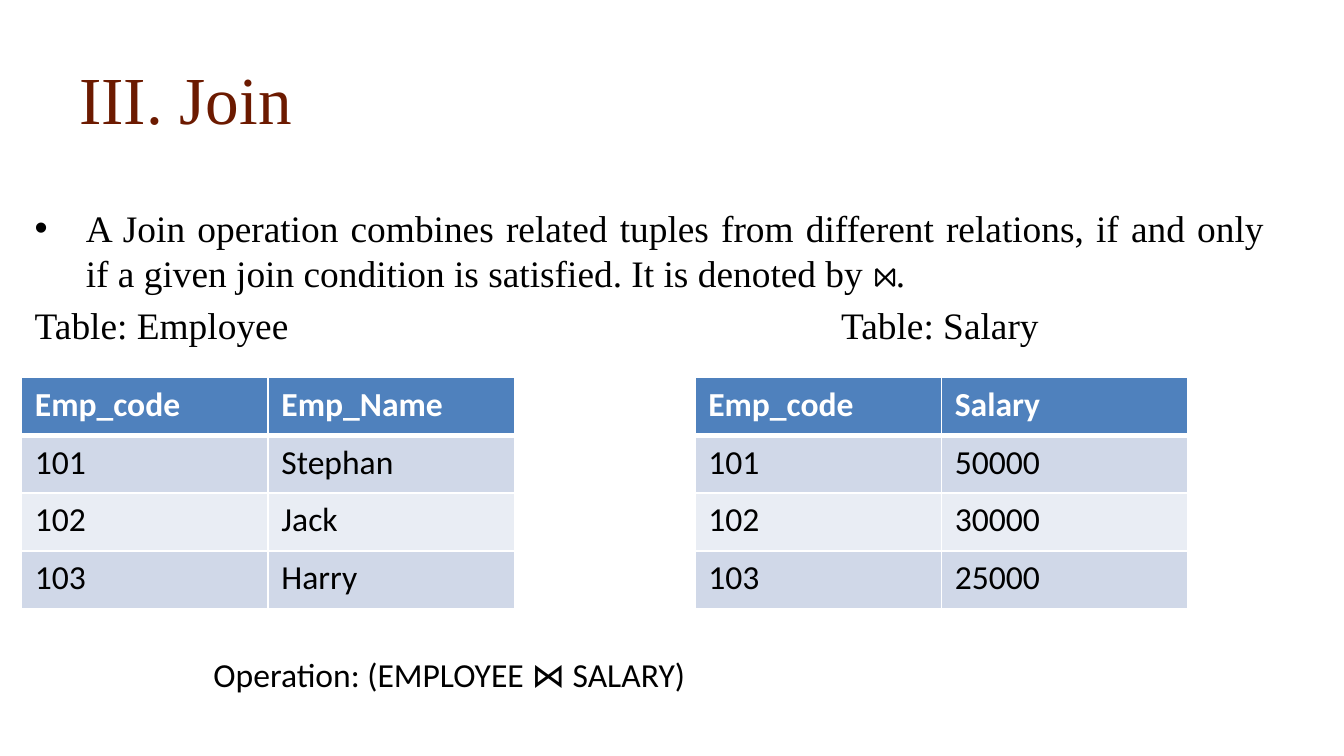
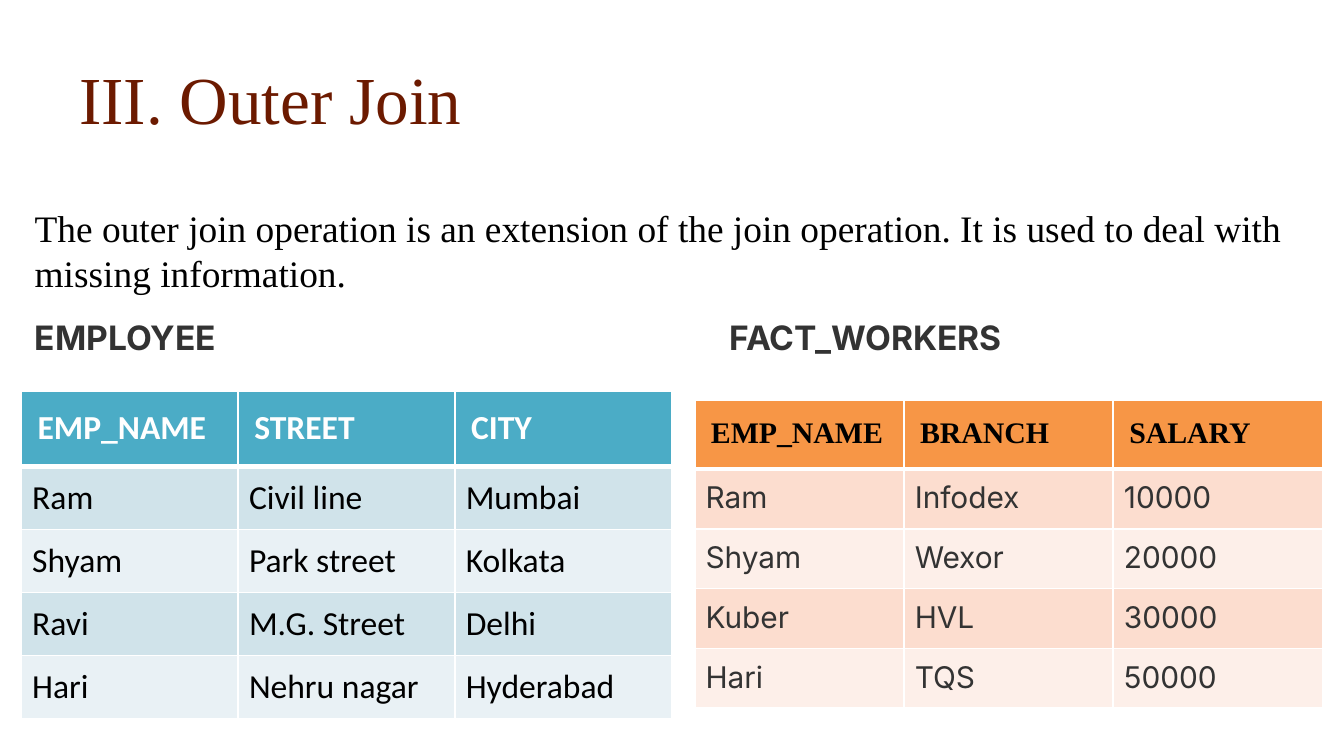
from dataclasses import dataclass

from lxml.etree import SubElement
from pptx import Presentation
from pptx.dml.color import RGBColor
from pptx.enum.text import MSO_ANCHOR as Anchor, PP_ALIGN as Align
from pptx.oxml import parse_xml
from pptx.oxml.ns import nsdecls, qn
from pptx.util import Inches, Pt

SERIF, SANS, INTER = "Times New Roman", "Calibri", "Inter"
BLACK, WHITE, MAROON, GREY = "000000", "FFFFFF", "6C1A00", "333333"
TITLE_BOX = (0.49, 0.31, 9.02, 0.84)
LEFT, RIGHT = 0.16, 5.17


@dataclass
class Theme:
    header: str
    bands: tuple
    header_font: dict
    body_font: dict
    header_inset: tuple = (0.12, 0.12)
    body_inset: tuple = (0.08, 0.08)


BLUE = Theme(
    "4F81BD", ("D0D8E8", "E9EDF4"),
    dict(size=18, font=SANS, color=WHITE, bold=True),
    dict(size=18, font=SANS),
    (0.1, 0.05), (0.1, 0.05),
)
TEAL = Theme(
    "4BACC6", ("D0E3EA", "E9F1F5"),
    dict(size=18, font=SANS, color=WHITE, bold=True),
    dict(size=18, font=SANS, align=Align.JUSTIFY),
)
ORANGE = Theme(
    "F79646", ("FCDDCF", "FDEFE9"),
    dict(size=16, font=SERIF, bold=True),
    dict(size=16, font=INTER, color=GREY, align=Align.JUSTIFY),
)


def rgb(value):
    return RGBColor.from_string(value)


def write(paragraph, text, size=20, font=SERIF, color=BLACK, bold=False,
          align=Align.LEFT, before=0, bullet_indent=None, tab=None):
    paragraph.alignment = align
    paragraph.space_before = Pt(before)
    run = paragraph.add_run()
    run.text = text
    run.font.size = Pt(size)
    run.font.name = font
    run.font.bold = bold
    run.font.color.rgb = rgb(color)
    props = paragraph._p.get_or_add_pPr()
    if bullet_indent:
        props.set("marL", str(Inches(bullet_indent)))
        props.set("indent", str(-Inches(bullet_indent)))
        SubElement(props, qn("a:buFont"), typeface="Arial")
        SubElement(props, qn("a:buChar"), char="•")
    if tab:
        stops = SubElement(props, qn("a:tabLst"))
        SubElement(stops, qn("a:tab"), pos=str(Inches(tab)), algn="l")


def text_area(slide, box, *paragraphs, anchor=Anchor.TOP, wrap=True):
    frame = slide.shapes.add_textbox(*map(Inches, box)).text_frame
    frame.word_wrap = wrap
    frame.vertical_anchor = anchor
    for index, (text, style) in enumerate(paragraphs):
        paragraph = frame.add_paragraph() if index else frame.paragraphs[0]
        write(paragraph, text, **style)


def title(slide, text):
    text_area(slide, TITLE_BOX, (text, dict(size=36, color=MAROON)),
              anchor=Anchor.MIDDLE)


def caption(slide, box, text, **style):
    text_area(slide, box, (text, dict(size=18, **style)), wrap=False)


def cell_borders(cell, row):
    widths = dict(L=1, R=1, T=3 if row == 1 else 1, B=3 if row == 0 else 1)
    props = cell._tc.get_or_add_tcPr()
    for index, (side, width) in enumerate(widths.items()):
        props.insert(index, parse_xml(
            f'<a:ln{side} {nsdecls("a")} w="{Pt(width)}"><a:solidFill>'
            f'<a:srgbClr val="{WHITE}"/></a:solidFill></a:ln{side}>'))


def relation(slide, box, rows, theme, header_height):
    left, top, width, height = box
    columns = len(rows[0])
    table = slide.shapes.add_table(
        len(rows), columns, *map(Inches, box)).table
    for column in table.columns:
        column.width = Inches(width / columns)
    body_height = (height - header_height) / (len(rows) - 1)
    for r, values in enumerate(rows):
        is_header = r == 0
        table.rows[r].height = Inches(header_height if is_header else body_height)
        fill = theme.header if is_header else theme.bands[(r - 1) % 2]
        style = theme.header_font if is_header else theme.body_font
        side, end = theme.header_inset if is_header else theme.body_inset
        for c, value in enumerate(values):
            cell = table.cell(r, c)
            cell.fill.solid()
            cell.fill.fore_color.rgb = rgb(fill)
            cell.margin_left = cell.margin_right = Inches(side)
            cell.margin_top = cell.margin_bottom = Inches(end)
            write(cell.text_frame.paragraphs[0], value, **style)
            cell_borders(cell, r)


def join_slide(slide):
    title(slide, "III. Join")
    text_area(
        slide, (LEFT, 1.48, 9.35, 3.84),
        ("A Join operation combines related tuples from different relations, "
         "if and only if a given join condition is satisfied. "
         "It is denoted by ⋈.",
         dict(align=Align.JUSTIFY, before=4, bullet_indent=0.38)),
        ("Table: Employee\tTable: Salary",
         dict(align=Align.JUSTIFY, before=4, tab=6)),
    )
    employees = [("Emp_code", "Emp_Name"), ("101", "Stephan"),
                 ("102", "Jack"), ("103", "Harry")]
    salaries = [("Emp_code", "Salary"), ("101", "50000"),
                ("102", "30000"), ("103", "25000")]
    for left, rows in ((LEFT, employees), (RIGHT, salaries)):
        relation(slide, (left, 2.81, 3.67, 1.72), rows, BLUE, 0.43)
    caption(slide, (1.49, 4.82, 3.77, 0.4),
            "Operation: (EMPLOYEE ⋈ SALARY)", font=SANS)


def outer_join_slide(slide):
    title(slide, "III. Outer Join")
    text_area(
        slide, (LEFT, 1.48, 9.69, 3.84),
        ("The outer join operation is an extension of the join operation. "
         "It is used to deal with missing information.", dict(before=4)),
    )
    employees = [
        ("EMP_NAME", "STREET", "CITY"),
        ("Ram", "Civil line", "Mumbai"),
        ("Shyam", "Park street", "Kolkata"),
        ("Ravi", "M.G. Street", "Delhi"),
        ("Hari", "Nehru nagar", "Hyderabad"),
    ]
    workers = [
        ("EMP_NAME", "BRANCH", "SALARY"),
        ("Ram", "Infodex", "10000"),
        ("Shyam", "Wexor", "20000"),
        ("Kuber", "HVL", "30000"),
        ("Hari", "TQS", "50000"),
    ]
    relation(slide, (LEFT, 2.91, 4.84, 2.44), employees, TEAL, 0.56)
    relation(slide, (RIGHT, 2.98, 4.67, 2.29), workers, ORANGE, 0.51)
    for left, width, name in ((LEFT, 1.6, "EMPLOYEE"),
                              (5.33, 2.32, "FACT_WORKERS")):
        caption(slide, (left, 2.31, width, 0.4), name,
                font=INTER, color=GREY, bold=True)


def main():
    deck = Presentation()
    deck.slide_width = Inches(10)
    deck.slide_height = deck.slide_width * 9 // 16
    blank = deck.slide_layouts[6]
    for build in (join_slide, outer_join_slide):
        build(deck.slides.add_slide(blank))
    deck.save("out.pptx")


if __name__ == "__main__":
    main()
